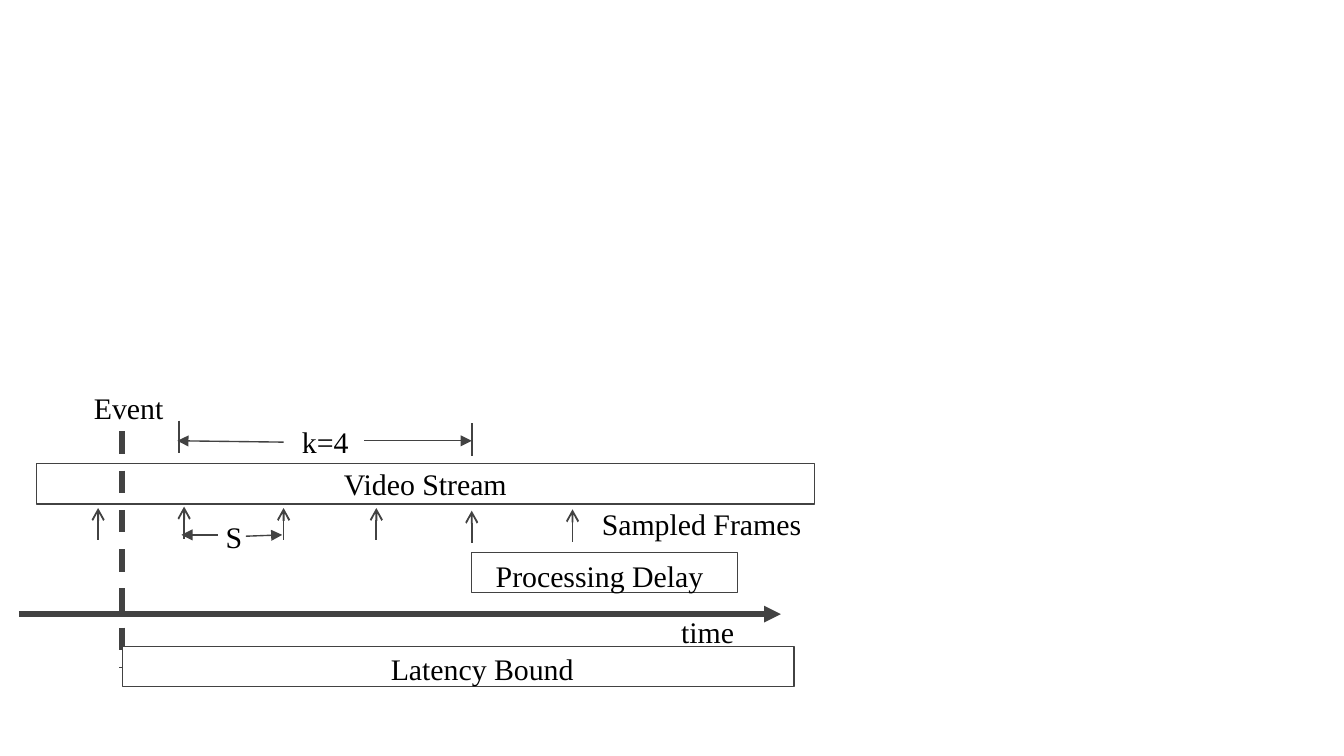
from pptx import Presentation
from pptx.dml.color import RGBColor
from pptx.enum.dml import MSO_LINE
from pptx.enum.shapes import MSO_CONNECTOR, MSO_SHAPE
from pptx.enum.text import MSO_ANCHOR, PP_ALIGN
from pptx.oxml.ns import qn
from pptx.util import Inches, Pt
from lxml.etree import SubElement

COLORS = {"ink": "424242", "text": "000000", "paper": "FFFFFF"}

presentation = Presentation()
presentation.slide_width = Inches(10)
presentation.slide_height = Inches(10 * 9 / 16)
slide = presentation.slides.add_slide(presentation.slide_layouts[6])
shapes = slide.shapes


def write(holder, words, align, anchor):
    frame = holder.text_frame
    frame.text = words
    frame.word_wrap = True
    frame.vertical_anchor = anchor
    frame.margin_left = frame.margin_right = Inches(0.1)
    frame.margin_top = frame.margin_bottom = Inches(0.1)
    frame.paragraphs[0].alignment = align
    font = frame.paragraphs[0].runs[0].font
    font.name = "Times New Roman"
    font.size = Pt(16)
    font.color.rgb = RGBColor.from_string(COLORS["text"])


def draw_line(x1, y1, x2, y2, width, end=None, arrow=None, dash=None):
    connector = shapes.add_connector(
        MSO_CONNECTOR.STRAIGHT, Inches(x1), Inches(y1), Inches(x2), Inches(y2))
    connector.line.width = Pt(width)
    connector.line.color.rgb = RGBColor.from_string(COLORS["ink"])
    if dash:
        connector.line.dash_style = dash
    properties = connector._element.spPr
    if end:
        SubElement(properties.find(qn("a:ln")), qn(f"a:{end}"), type=arrow)
    SubElement(properties, qn("a:effectLst"))


bars = [
    (0.27, 3.45, 5.79, "Video Stream"),
    (3.51, 4.11, 1.98, None),
    (0.91, 4.81, 5, None),
]
for left, top, width, words in bars:
    bar = shapes.add_shape(
        MSO_SHAPE.RECTANGLE, Inches(left), Inches(top), Inches(width), Inches(0.3))
    bar.shadow.inherit = False
    bar.fill.solid()
    bar.fill.fore_color.rgb = RGBColor.from_string(COLORS["paper"])
    bar.line.color.rgb = RGBColor.from_string(COLORS["ink"])
    bar.line.width = Pt(0.75)
    if words:
        write(bar, words, PP_ALIGN.CENTER, MSO_ANCHOR.MIDDLE)
    if words == "Video Stream":
        draw_line(0.91, 3.21, 0.91, 4.97, 3, dash=MSO_LINE.DASH)
        draw_line(0.14, 4.57, 5.81, 4.57, 3, "tailEnd", "triangle")

labels = [
    (0.6, 2.8, 0.75, "Event", PP_ALIGN.LEFT),
    (1.33, 3.05, 2.18, "k=4", PP_ALIGN.CENTER),
    (1.58, 3.76, 0.33, "S\u00a0", PP_ALIGN.LEFT),
    (4.38, 3.66, 1.76, "Sampled Frames", PP_ALIGN.LEFT),
    (3.59, 4.05, 1.9, "Processing Delay", PP_ALIGN.LEFT),
    (4.97, 4.47, 1.22, "time", PP_ALIGN.LEFT),
    (2.81, 4.74, 1.9, "Latency Bound", PP_ALIGN.LEFT),
]
for left, top, width, words, align in labels:
    label = shapes.add_textbox(Inches(left), Inches(top), Inches(width), Inches(0.34))
    write(label, words, align, MSO_ANCHOR.TOP)

sampled_frames = [
    (0.73, 3.78), (1.37, 3.77), (2.11, 3.78), (2.8, 3.78), (3.51, 3.8), (4.26, 3.79),
]
for x, top in sampled_frames:
    draw_line(x, top, x, top + 0.24, 1, "headEnd", "arrow")

for x, top in [(1.33, 3.13), (3.51, 3.15)]:
    draw_line(x, top, x, top + 0.24, 1)

span_arrows = [
    (2.71, 3.28, 3.51, 3.28),
    (2.11, 3.29, 1.32, 3.28),
    (1.62, 3.98, 1.35, 3.98),
    (1.83, 3.99, 2.1, 3.98),
]
for x1, y1, x2, y2 in span_arrows:
    draw_line(x1, y1, x2, y2, 0.75, "tailEnd", "triangle")

presentation.save("out.pptx")
